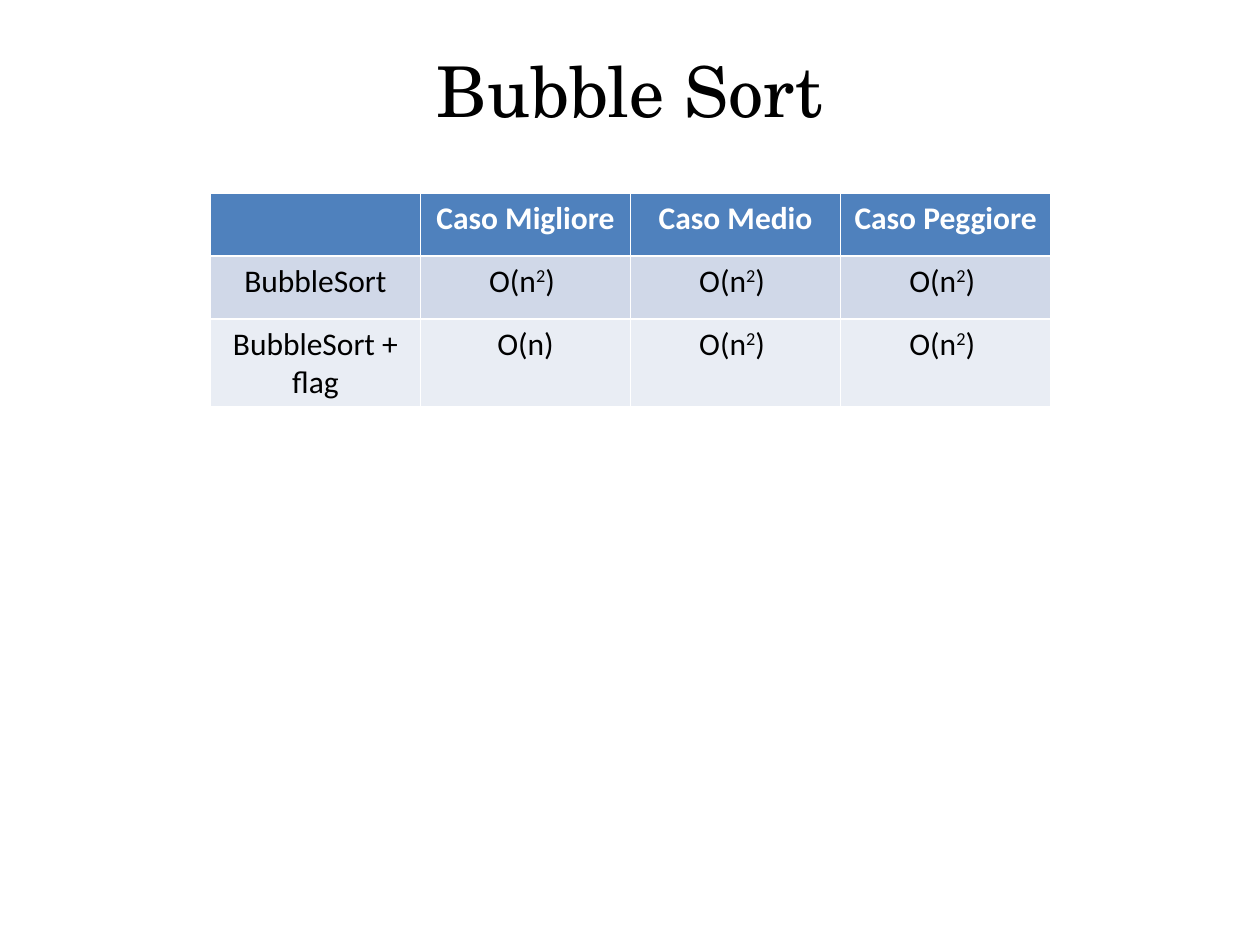
"""Build a slide with the time costs of bubble sort."""
from pptx import Presentation
from pptx.dml.color import RGBColor
from pptx.enum.text import MSO_ANCHOR, PP_ALIGN
from pptx.util import Inches, Pt

BLACK = RGBColor(0x00, 0x00, 0x00)
WHITE = RGBColor(0xFF, 0xFF, 0xFF)
BLUE = RGBColor(0x4F, 0x81, 0xBD)
MID = RGBColor(0xD0, 0xD8, 0xE8)
PALE = RGBColor(0xE9, 0xED, 0xF4)

SQUARE = "O(n^2^) "
ROWS = [
    (BLUE, WHITE, ["", "Caso Migliore", "Caso Medio", "Caso Peggiore"]),
    (MID, BLACK, ["BubbleSort", SQUARE, SQUARE, SQUARE]),
    (PALE, BLACK, ["BubbleSort + flag", "O(n)", SQUARE, SQUARE]),
]


def style(par, name, size, color, bold=False):
    par.alignment = PP_ALIGN.CENTER
    font = par.font
    font.name, font.size, font.bold = name, Pt(size), bold
    font.color.rgb = color


deck = Presentation()
deck.slide_width, deck.slide_height = Inches(10), Inches(7.5)
slide = deck.slides.add_slide(deck.slide_layouts[6])

title = slide.shapes.add_textbox(Inches(1.18), Inches(0.16), Inches(7.64), Inches(1.18))
frame = title.text_frame
frame.word_wrap = True
frame.vertical_anchor = MSO_ANCHOR.MIDDLE
frame.margin_left = frame.margin_right = frame.margin_top = frame.margin_bottom = 0
par = frame.paragraphs[0]
par.text = "Bubble Sort"
par.line_spacing = 0.93
style(par, "TeX Gyre Schola", 40, BLACK)

table = slide.shapes.add_table(
    3, 4, Inches(1.67), Inches(1.53), Inches(6.67), Inches(1.5)
).table
for row, (fill, color, texts) in zip(table.rows, ROWS):
    row.height = Inches(0.5)
    for cell, text in zip(row.cells, texts):
        cell.fill.solid()
        cell.fill.fore_color.rgb = fill
        par = cell.text_frame.paragraphs[0]
        style(par, "Calibri", 18, color, bold=fill == BLUE)
        for i, part in enumerate(text.split("^")):
            if part:
                run = par.add_run()
                run.text = part
                if i % 2:
                    run.font._element.set("baseline", "30000")

deck.save("out.pptx")
